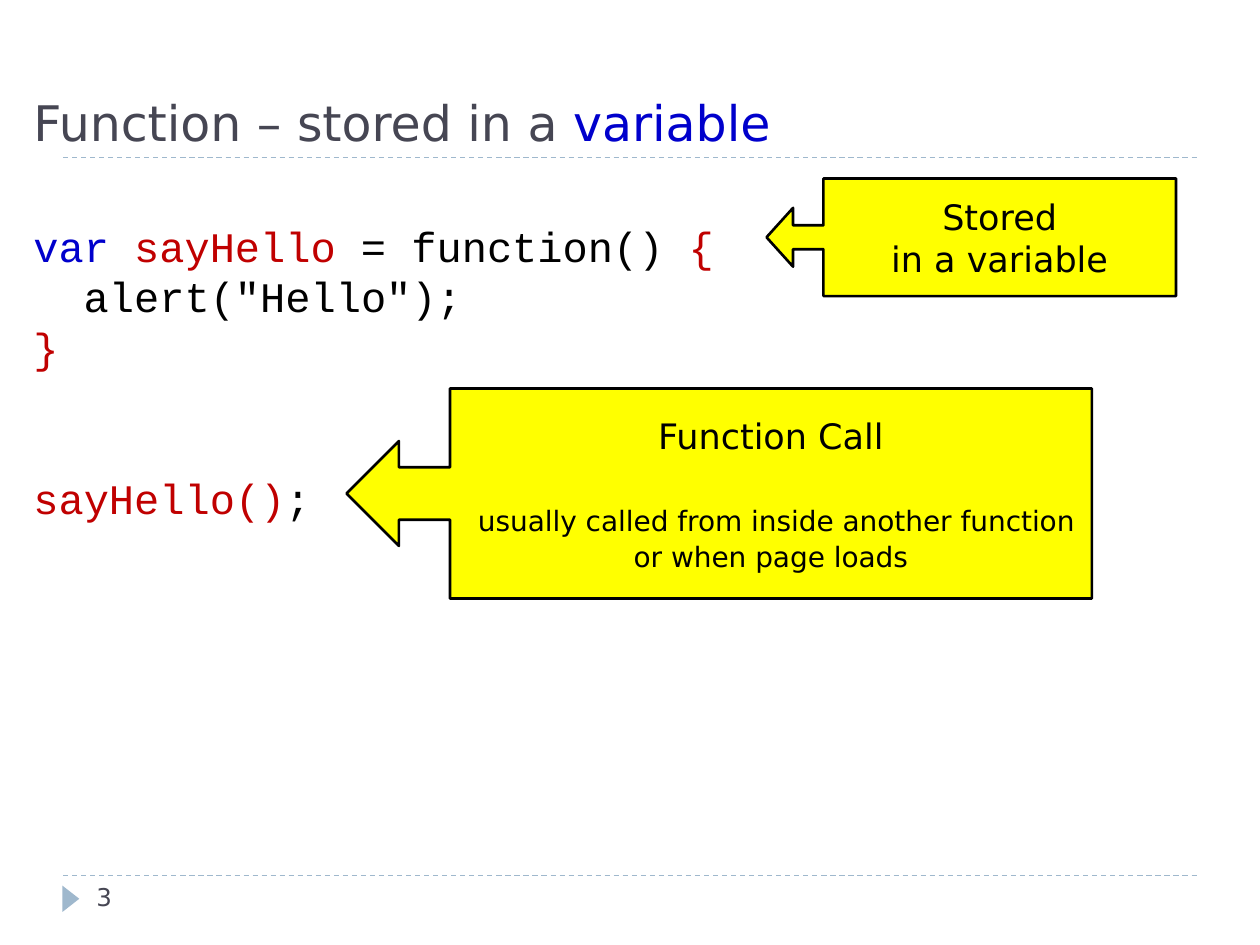
from dataclasses import dataclass

from lxml import etree
from pptx import Presentation
from pptx import util as u
from pptx.dml import color
from pptx.enum import dml, shapes, text
from pptx.oxml import ns

HUES = {"ink": "000000", "slate": "464653", "blue": "0000CC",
        "red": "C00000", "steel": "9FB8CD", "sun": "FFFF00"}
SANS, MONO = "DejaVu Sans", "Courier New"
COLS, ROWS = 120, 90
WIDE, HIGH = u.Inches(10), u.Inches(7.5)

Box = tuple[float, float, float, float]


@dataclass
class Para:
    runs: list[tuple[str, str]]
    size: float
    font: str = SANS
    gap: float = 0
    indent: float = 0
    pitch: float | None = None
    align: text.PP_ALIGN = text.PP_ALIGN.LEFT


@dataclass
class Label:
    box: Box
    paras: list[Para]
    anchor: text.MSO_ANCHOR = text.MSO_ANCHOR.TOP


@dataclass
class Callout:
    box: Box
    paras: list[Para]
    adjust: tuple[float, ...]


def hue(name: str) -> color.RGBColor:
    return color.RGBColor.from_string(HUES[name])


def grid(box: Box) -> list[int]:
    return [round(v * side / cells) for v, side, cells in
            zip(box, (WIDE, HIGH) * 2, (COLS, ROWS) * 2)]


def format_all(item, values: dict) -> None:
    for key, value in values.items():
        setattr(item, key, value)


def write(frame, paras: list[Para], anchor: text.MSO_ANCHOR) -> None:
    format_all(frame, {"word_wrap": True, "vertical_anchor": anchor})
    for i, para in enumerate(paras):
        line = frame.add_paragraph() if i else frame.paragraphs[0]
        format_all(line, {"alignment": para.align, "space_before": u.Pt(para.gap)})
        if para.pitch:
            line.line_spacing = u.Pt(para.pitch)
        if para.indent:
            props = line._p.get_or_add_pPr()
            props.set("marL", str(u.Pt(para.indent)))
            props.set("indent", "0")
        for words, tint in para.runs:
            for j, part in enumerate(words.split("\n")):
                if j:
                    line.add_line_break()
                run = line.add_run()
                run.text = part
                format_all(run.font, {"size": u.Pt(para.size), "name": para.font})
                run.font.color.rgb = hue(tint)


def add_label(slide, label: Label) -> None:
    box = slide.shapes.add_textbox(*grid(label.box))
    write(box.text_frame, label.paras, label.anchor)


def add_solid(slide, kind: shapes.MSO_SHAPE, box: Box, fill: str):
    shape = slide.shapes.add_shape(kind, *grid(box))
    shape.shadow.inherit = False
    shape.fill.solid()
    shape.fill.fore_color.rgb = hue(fill)
    return shape


def add_callout(slide, call: Callout) -> None:
    shape = add_solid(slide, shapes.MSO_SHAPE.LEFT_ARROW_CALLOUT, call.box, "sun")
    for i, value in enumerate(call.adjust):
        shape.adjustments[i] = value
    shape.line.color.rgb = hue("ink")
    shape.line.width = u.Pt(1.5)
    write(shape.text_frame, call.paras, text.MSO_ANCHOR.MIDDLE)


def add_rule(slide, row: float) -> None:
    rule = slide.shapes.add_connector(
        shapes.MSO_CONNECTOR.STRAIGHT, *grid((6, row, COLS - 6, row)))
    rule.line.color.rgb = hue("steel")
    format_all(rule.line, {"width": u.Pt(0.75),
                           "dash_style": dml.MSO_LINE.DASH})
    etree.SubElement(rule._element.spPr, ns.qn("a:effectLst"))


def code(*runs: tuple[str, str], gap: float = 0, indent: float = 0) -> Para:
    return Para(list(runs), 24, MONO, gap, indent, pitch=28.8)


def note(words: str, size: float, gap: float = 0, indent: float = 0) -> Para:
    return Para([(words, "ink")], size, gap=gap, indent=indent,
                align=text.PP_ALIGN.CENTER)


FOOT = 83.4
LABELS = [
    Label((2, 20.4, 114, 50), [
        code(("var ", "blue"), ("sayHello ", "red"),
             ("= function() ", "ink"), ("{", "red")),
        code(('alert("Hello");', "ink"), indent=28.8),
        code(("}", "red")),
        code(("sayHello()", "red"), (";", "ink"), gap=57.6),
    ]),
    Label((2, 2, 115, 13),
          [Para([("Function – stored in a ", "slate"), ("variable", "blue")], 28)],
          text.MSO_ANCHOR.BOTTOM),
    Label((8, FOOT, 26, 4.8), [Para([("3", "slate")], 14)]),
]
CALLS = [
    Callout((73, 17, 39, 11.2), [note("Stored\nin a variable", 20)],
            (0.203, 0.25, 0.226, 0.861)),
    Callout((33, 37, 71, 20), [
        note("Function Call", 20),
        note("usually called from inside another function", 16, 27, 6.4),
        note("or when page loads", 16, 1),
    ], (0.25, 0.25, 0.25, 0.861)),
]


def main() -> None:
    deck = Presentation()
    format_all(deck, {"slide_width": WIDE, "slide_height": HIGH})
    slide = deck.slides.add_slide(deck.slide_layouts[6])
    for row in (FOOT, 15):
        add_rule(slide, row)
    mark = add_solid(slide, shapes.MSO_SHAPE.ISOSCELES_TRIANGLE,
                     (5.5, 84.8, 2.5, 1.6), "steel")
    mark.rotation = 90
    mark.line.fill.background()
    for label in LABELS:
        add_label(slide, label)
    for call in CALLS:
        add_callout(slide, call)
    deck.save("out.pptx")


if __name__ == "__main__":
    main()
